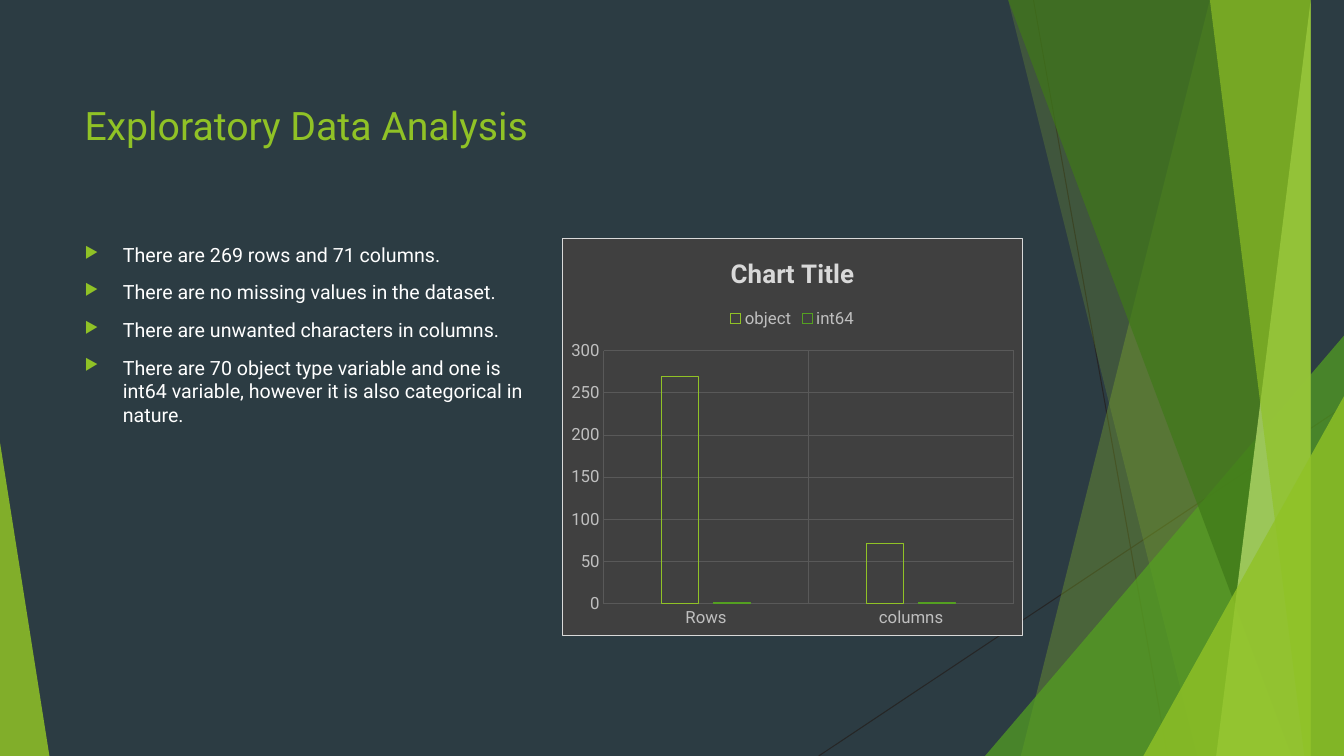
from lxml import etree
from pptx import Presentation
from pptx import util as u
from pptx.chart import data as chart_data
from pptx.dml import color
from pptx.enum import chart as ch, shapes, text
from pptx.oxml import ns, parse_xml

COLORS = {
    "background": "2C3C43", "lime": "90C226", "green": "54A021",
    "forest": "3F7819", "pale": "C0E474", "thread": "262626",
    "white": "FFFFFF", "panel": "404040", "grid": "595959",
    "label": "BFBFBF", "heading": "D9D9D9",
}
FONT = "Roboto"
WIDTH, HEIGHT = 13.33, 7.5
FINDINGS = [
    "There are 269 rows and 71 columns.",
    "There are no missing values in the dataset.",
    "There are unwanted characters in columns.",
    "There are 70 object type variable and one is int64 variable, "
    "however it is also categorical in nature.",
]


def rgb(name):
    return color.RGBColor.from_string(COLORS[name])


def box(*lengths):
    return [u.Inches(length) for length in lengths]


def set_all(target, values):
    for name, value in values.items():
        setattr(target, name, value)


def style_font(font, size, color_name, bold=False):
    set_all(font, {"name": FONT, "size": u.Pt(size), "bold": bold})
    font.color.rgb = rgb(color_name)


def style_line(line, color_name):
    line.color.rgb = rgb(color_name)
    line.width = u.Pt(0.75)


def add_thread(slide, *ends):
    thread = slide.shapes.add_connector(shapes.MSO_CONNECTOR.STRAIGHT, *box(*ends))
    style_line(thread.line, "thread")
    etree.SubElement(thread.element.spPr, ns.qn("a:effectLst"))


def tint(facet, color_name, opacity):
    facet.shadow.inherit = False
    facet.line.fill.background()
    facet.fill.solid()
    facet.fill.fore_color.rgb = rgb(color_name)
    shade = facet.element.spPr.find(".//" + ns.qn("a:srgbClr"))
    etree.SubElement(shade, ns.qn("a:alpha"), val=str(opacity * 1000))


def add_blade(slide, top_x, bottom_x, color_name, opacity):
    outline = slide.shapes.build_freeform(top_x, 0, scale=u.Inches(1))
    outline.add_line_segments([(WIDTH, 0), (WIDTH, HEIGHT), (bottom_x, HEIGHT)])
    tint(outline.convert_to_shape(), color_name, opacity)


def add_corner(slide, left, top, width, apex, color_name, opacity):
    corner = slide.shapes.add_shape(
        shapes.MSO_SHAPE.ISOSCELES_TRIANGLE, *box(left, top, width, HEIGHT - top))
    corner.adjustments[0] = apex
    tint(corner, color_name, opacity)


def add_facets(slide):
    add_thread(slide, 10.25, 0, 11.58, HEIGHT)
    add_thread(slide, WIDTH, 4.03, 8.12, HEIGHT)
    add_blade(slide, 12.28, 10.04, "lime", 30)
    add_blade(slide, 10.5, 11.83, "lime", 20)
    add_corner(slide, 9.77, 3.33, 3.56, 1, "green", 72)
    add_blade(slide, 10.21, 12.91, "forest", 70)
    add_blade(slide, 13.03, 11.92, "pale", 70)
    add_blade(slide, 11.96, 13.18, "lime", 65)
    add_corner(slide, 11.34, 3.93, 1.99, 1, "lime", 80)
    add_corner(slide, 0, 4.39, 0.49, 0, "lime", 85)


def add_bullet(paragraph):
    properties = paragraph._p.get_or_add_pPr()
    indent = u.Inches(0.38)
    properties.set("marL", str(indent))
    properties.set("indent", str(-indent))
    bullet_color = etree.SubElement(properties, ns.qn("a:buClr"))
    etree.SubElement(bullet_color, ns.qn("a:srgbClr"), val=COLORS["lime"])
    etree.SubElement(properties, ns.qn("a:buSzPct"), val="80000")
    etree.SubElement(properties, ns.qn("a:buChar"), char="▶")


def add_text(slide, place, lines, size, color_name, bulleted=False):
    frame = slide.shapes.add_textbox(*box(*place)).text_frame
    set_all(frame, {"word_wrap": True, "vertical_anchor": text.MSO_ANCHOR.TOP})
    frame.text = "\n".join(lines)
    for paragraph in frame.paragraphs:
        style_font(paragraph.runs[0].font, size, color_name)
        if bulleted:
            paragraph.space_before = u.Pt(10)
            add_bullet(paragraph)


def style_axis(axis):
    set_all(axis, {
        "has_major_gridlines": True,
        "major_tick_mark": ch.XL_TICK_MARK.NONE,
        "minor_tick_mark": ch.XL_TICK_MARK.NONE,
    })
    axis.format.line.fill.background()
    style_line(axis.major_gridlines.format.line, "grid")
    style_font(axis.tick_labels.font, 12, "label")


def fill_chart_area(chart):
    area = parse_xml(
        f'<c:spPr {ns.nsdecls("c", "a")}>'
        f'<a:solidFill><a:srgbClr val="{COLORS["panel"]}"/></a:solidFill>'
        f'<a:ln w="{u.Pt(0.75)}"><a:solidFill><a:srgbClr val="{COLORS["heading"]}"/>'
        '</a:solidFill></a:ln></c:spPr>')
    chart.element.find(ns.qn("c:chart")).addnext(area)


def add_type_chart(slide, place):
    counts = chart_data.CategoryChartData()
    counts.categories = ["Rows", "columns"]
    counts.add_series("object", [269, 71])
    counts.add_series("int64", [1, 1])
    chart = slide.shapes.add_chart(
        ch.XL_CHART_TYPE.COLUMN_CLUSTERED, *box(*place), counts).chart
    style_font(chart.font, 10, "white")
    fill_chart_area(chart)
    set_all(chart, {"has_title": True, "has_legend": True})
    heading = chart.chart_title.text_frame
    heading.text = "Chart Title"
    style_font(heading.paragraphs[0].runs[0].font, 18.6, "heading", bold=True)
    set_all(chart.legend, {
        "position": ch.XL_LEGEND_POSITION.TOP, "include_in_layout": False})
    style_font(chart.legend.font, 12, "label")
    for axis in (chart.category_axis, chart.value_axis):
        style_axis(axis)
    set_all(chart.value_axis, {
        "minimum_scale": 0, "maximum_scale": 300, "major_unit": 50})
    plot = chart.plots[0]
    set_all(plot, {"gap_width": 315, "overlap": -40, "vary_by_categories": False})
    for series, outline in zip(plot.series, ("lime", "green")):
        series.format.fill.background()
        style_line(series.format.line, outline)


def main():
    deck = Presentation()
    set_all(deck, {"slide_width": u.Inches(WIDTH), "slide_height": u.Inches(HEIGHT)})
    slide = deck.slides.add_slide(deck.slide_layouts[6])
    slide.background.fill.solid()
    slide.background.fill.fore_color.rgb = rgb("background")
    add_facets(slide)
    add_text(slide, (0.74, 0.96, 9.4, 1.15), ["Exploratory Data Analysis"], 28, "lime")
    add_text(slide, (0.74, 2.36, 4.58, 4.24), FINDINGS, 14, "white", bulleted=True)
    add_type_chart(slide, (5.57, 2.36, 4.58, 3.95))
    deck.save("out.pptx")


if __name__ == "__main__":
    main()
